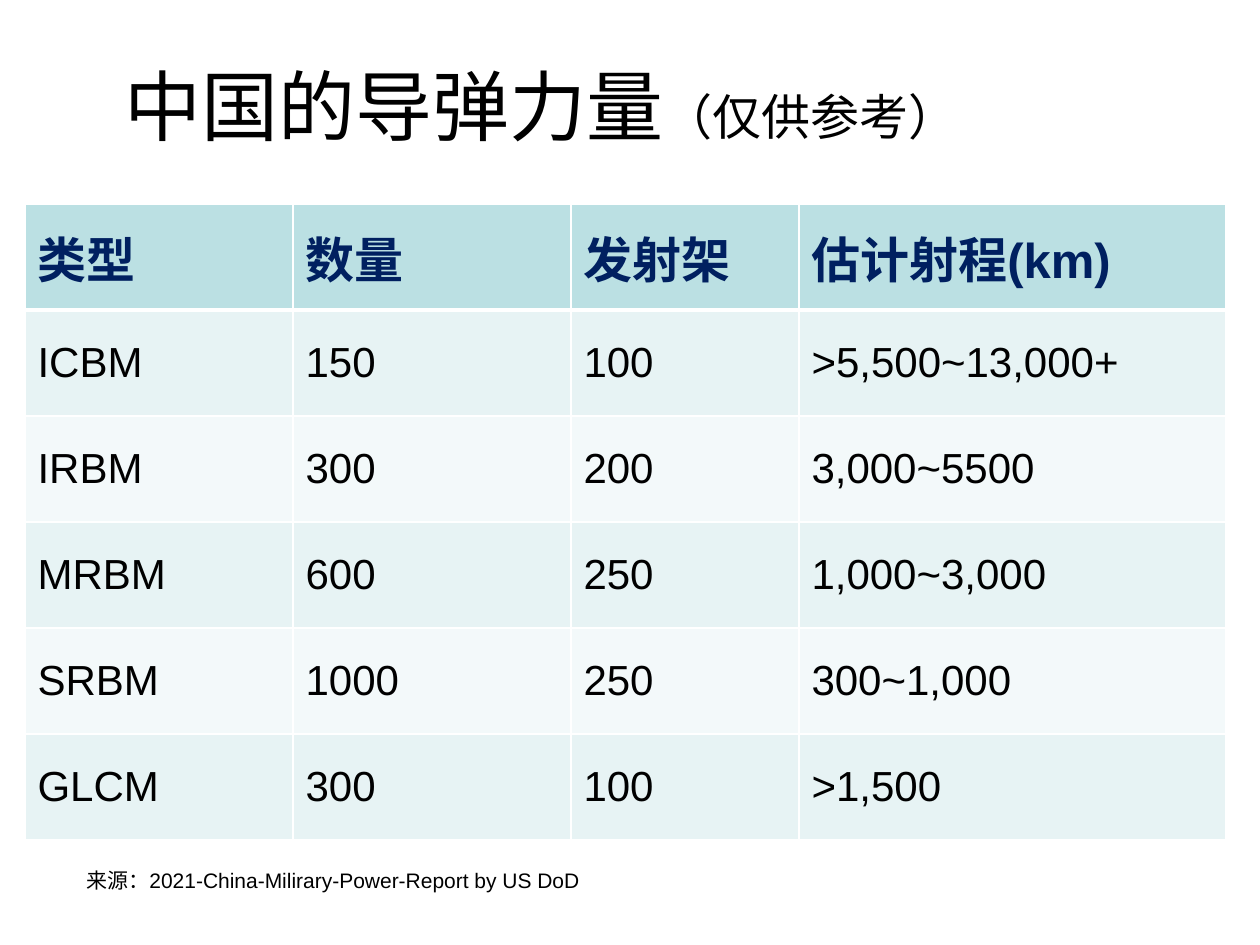
import pptx
import pptx.util
import pptx.dml.color
import pptx.enum.text
import pptx.oxml

COLORS = {
    "text": "000000",
    "header_text": "002060",
    "header": "BBE0E3",
    "odd": "E7F3F4",
    "even": "F3F9FA",
    "border": "FFFFFF",
}
EMU_PER_PX = 914400 / 126
COLUMN_WIDTHS = [268, 278, 228, 427]
ROW_HEIGHT = 106
ROWS = [
    ["类型", "数量", "发射架", "估计射程(km)"],
    ["ICBM", "150", "100", ">5,500~13,000+"],
    ["IRBM", "300", "200", "3,000~5500"],
    ["MRBM", "600", "250", "1,000~3,000"],
    ["SRBM", "1000", "250", "300~1,000"],
    ["GLCM", "300", "100", ">1,500"],
]


def px(n):
    return pptx.util.Emu(round(n * EMU_PER_PX))


def rgb(name):
    return pptx.dml.color.RGBColor.from_string(COLORS[name])


def add_run(p, text, size, font="Arial", color="text", bold=False):
    r = p.add_run()
    r.text = text
    r.font.size = pptx.util.Pt(size)
    r.font.name = font
    r.font.bold = bold
    r.font.color.rgb = rgb(color)


def add_title(s):
    sp = s.shapes.title
    sp.left, sp.top, sp.width, sp.height = px(25), px(26), px(1032), px(158)
    tf = sp.text_frame
    tf.word_wrap = True
    tf.vertical_anchor = pptx.enum.text.MSO_ANCHOR.MIDDLE
    p = tf.paragraphs[0]
    p.alignment = pptx.enum.text.PP_ALIGN.CENTER
    add_run(p, "中国的导弹力量", 44, "Roboto")
    add_run(p, "（仅供参考）", 28, "Roboto")


def set_borders(cell, top, bottom):
    tcPr = cell._tc.get_or_add_tcPr()
    for side, points in (("L", 1), ("R", 1), ("T", top), ("B", bottom)):
        tcPr.append(pptx.oxml.parse_xml(
            f'<a:ln{side} xmlns:a="http://schemas.openxmlformats.org/drawingml/2006/main"'
            f' w="{pptx.util.Pt(points)}"><a:solidFill>'
            f'<a:srgbClr val="{COLORS["border"]}"/></a:solidFill></a:ln{side}>'
        ))


def fill_cell(cell, text, row):
    header = row == 0
    set_borders(cell, 3 if row == 1 else 1, 3 if header else 1)
    cell.fill.solid()
    cell.fill.fore_color.rgb = rgb("header" if header else "odd" if row % 2 else "even")
    cell.vertical_anchor = pptx.enum.text.MSO_ANCHOR.MIDDLE
    p = cell.text_frame.paragraphs[0]
    if header:
        add_run(p, text, 28, color="header_text", bold=True)
    else:
        add_run(p, text, 24)


def add_missile_table(s):
    table = s.shapes.add_table(
        len(ROWS), len(COLUMN_WIDTHS), px(25), px(204),
        px(sum(COLUMN_WIDTHS)), px(ROW_HEIGHT * len(ROWS)),
    ).table
    for column, width in zip(table.columns, COLUMN_WIDTHS):
        column.width = px(width)
    for i, values in enumerate(ROWS):
        table.rows[i].height = px(ROW_HEIGHT)
        for j, text in enumerate(values):
            fill_cell(table.cell(i, j), text, i)


def add_citation(s):
    tf = s.shapes.add_textbox(px(74), px(861), px(1091), px(38)).text_frame
    tf.word_wrap = True
    tf.auto_size = pptx.enum.text.MSO_AUTO_SIZE.SHAPE_TO_FIT_TEXT
    add_run(tf.paragraphs[0], "来源：2021-China-Milirary-Power-Report by US DoD", 12)


def main():
    prs = pptx.Presentation()
    prs.slide_width, prs.slide_height = px(1260), px(945)
    s = prs.slides.add_slide(prs.slide_layouts[5])
    add_title(s)
    add_missile_table(s)
    add_citation(s)
    prs.save("out.pptx")


if __name__ == "__main__":
    main()
